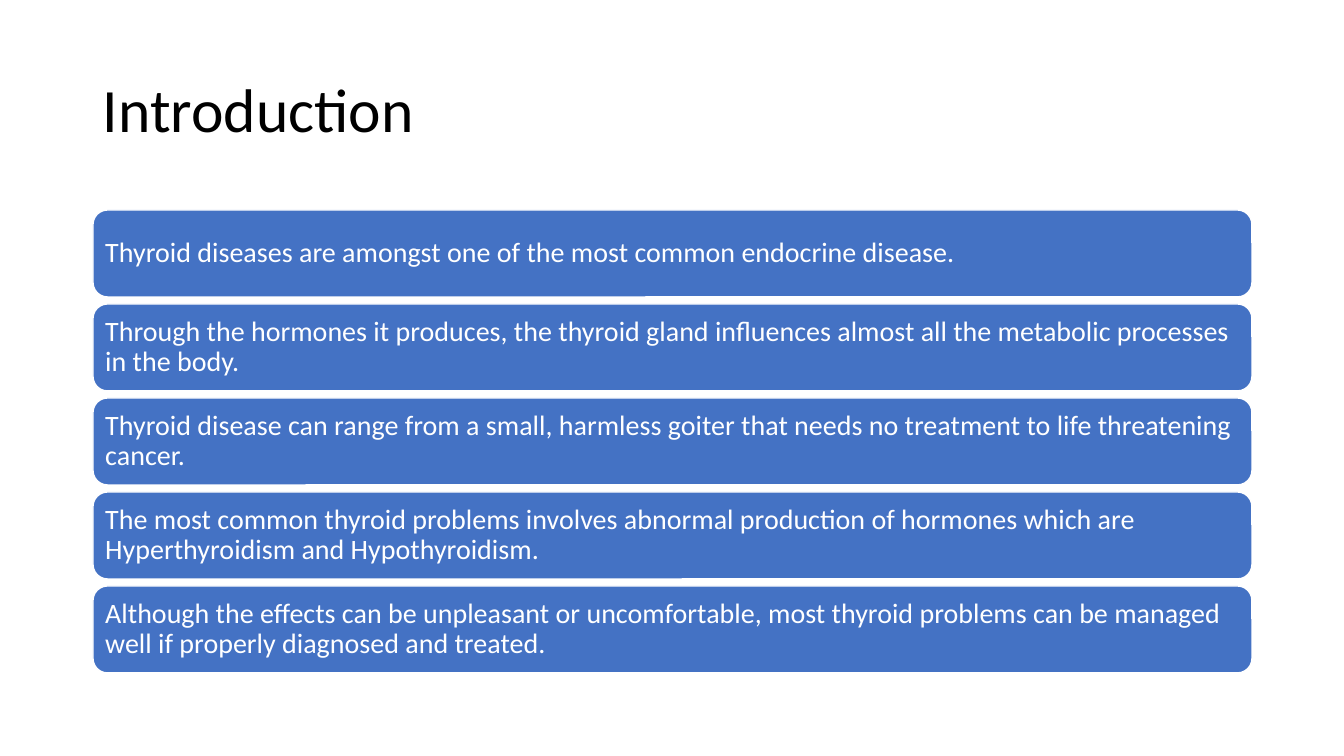
from pptx import Presentation
from pptx.dml.color import RGBColor
from pptx.enum.shapes import MSO_SHAPE as Shape
from pptx.enum.text import MSO_ANCHOR as Anchor, PP_ALIGN as Align
from pptx.util import Emu, Pt

SCALE = 914400 / 100.8
WIDE, HIGH = 1344, 756
LEFT, SPAN = 93, 1159
TOP, TALL, STEP = 210, 87, 94
POINTS = [
    "Thyroid diseases are amongst one of the most common endocrine disease.",
    "Through the hormones it produces, the thyroid gland influences almost all "
    "the metabolic processes in the body.",
    "Thyroid disease can range from a small, harmless goiter that needs no "
    "treatment to life threatening cancer.",
    "The most common thyroid problems involves abnormal production of hormones "
    "which are Hyperthyroidism and Hypothyroidism.",
    "Although the effects can be unpleasant or uncomfortable, most thyroid "
    "problems can be managed well if properly diagnosed and treated.",
]


def px(num):
    """Turn pixels into EMU."""
    return Emu(round(num * SCALE))


def tint(code):
    """Turn a hex string into a colour."""
    return RGBColor.from_string(code)


def put(item, values):
    """Set each attribute named in a dict."""
    for name, value in values.items():
        setattr(item, name, value)


class Page:
    """Hold the style and the current slide."""

    font, blue, white, black = "Calibri", "4472C4", "FFFFFF", "000000"

    def __init__(self, slide):
        """Keep the slide to draw on."""
        self.slide = slide

    def label(self, shape, text, size, color, inset):
        """Fill a shape with one left-aligned paragraph."""
        frame = shape.text_frame
        frame.text = text
        put(frame, {"word_wrap": True, "vertical_anchor": Anchor.MIDDLE})
        put(frame, {f"margin_{side}": px(gap) for side, gap in inset.items()})
        para = frame.paragraphs[0]
        put(para, {"alignment": Align.LEFT, "line_spacing": 0.9})
        put(para.runs[0].font, {"name": self.font, "size": Pt(size)})
        para.runs[0].font.color.rgb = tint(color)

    def title(self, text, left, top, width, height):
        """Place and format the title placeholder."""
        shape = self.slide.shapes.title
        put(shape, {"left": px(left), "top": px(top),
                    "width": px(width), "height": px(height)})
        inset = {"left": 10, "right": 10, "top": 5, "bottom": 5}
        self.label(shape, text, 44, self.black, inset)

    def bar(self, text, left, top, width, height):
        """Add a rounded bar with its text."""
        shape = self.slide.shapes.add_shape(
            Shape.ROUNDED_RECTANGLE, *map(px, (left, top, width, height)))
        shape.shadow.inherit = False
        shape.fill.solid()
        shape.fill.fore_color.rgb = tint(self.blue)
        shape.line.color.rgb = tint(self.white)
        shape.line.width = Pt(1)
        inset = dict.fromkeys(("left", "right", "top", "bottom"), 8)
        self.label(shape, text, 20, self.white, inset)


deck = Presentation()
put(deck, {"slide_width": px(WIDE), "slide_height": px(HIGH)})
page = Page(deck.slides.add_slide(deck.slide_layouts[5]))
page.title("Introduction", LEFT, 40, SPAN, 146)
for row, point in enumerate(POINTS):
    page.bar(point, LEFT, TOP + row * STEP, SPAN, TALL)
deck.save("out.pptx")
